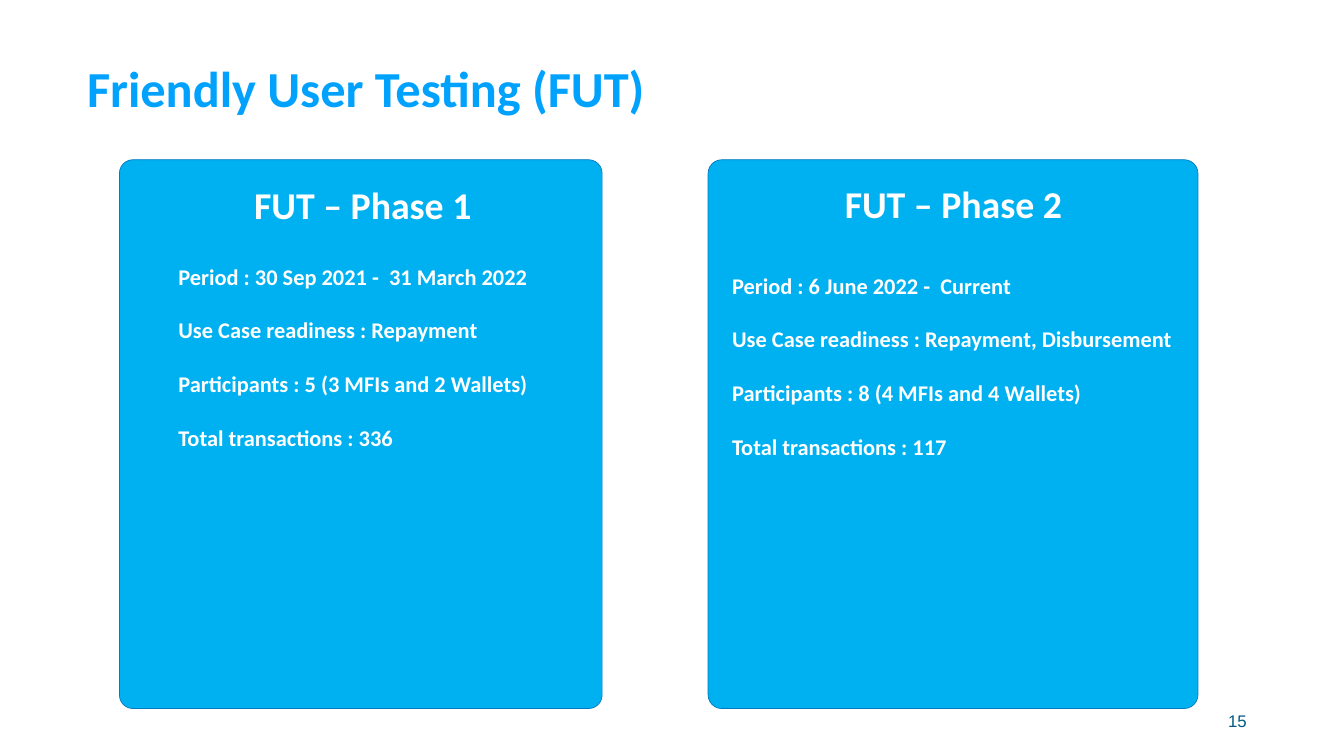
"""Build the Friendly User Testing slide with one card per phase."""
from pptx import Presentation
from pptx.dml.color import RGBColor
from pptx.enum.shapes import MSO_SHAPE
from pptx.enum.text import MSO_ANCHOR, PP_ALIGN
from pptx.util import Cm, Pt

ROUNDED = MSO_SHAPE.ROUNDED_RECTANGLE
TOP, MIDDLE = MSO_ANCHOR.TOP, MSO_ANCHOR.MIDDLE
LEFT, CENTER, RIGHT, JUSTIFY = PP_ALIGN.LEFT, PP_ALIGN.CENTER, PP_ALIGN.RIGHT, PP_ALIGN.JUSTIFY

COLORS = {"title": "00A2FE", "card": "00B1F1", "border": "0079BD",
          "text": "FFFFFF", "number": "005A83"}

PHASES = [
    {"card": (6.02, 24.33),
     "heading": "FUT – Phase 1", "heading_box": (6.02, 9.04, 24.54, 2.57),
     "details_box": (8.74, 11.76, 21.21, 13.56),
     "details": ["Period : 30 Sep 2021 -  31 March 2022",
                 "Use Case readiness : Repayment",
                 "Participants : 5 (3 MFIs and 2 Wallets)",
                 "Total transactions : 336"]},
    {"card": (35.69, 24.69),
     "heading": "FUT – Phase 2", "heading_box": (40.87, 8.97, 14.38, 2.57),
     "details_box": (36.65, 12.22, 22.94, 13.56),
     "details": ["Period : 6 June 2022 -  Current",
                 "Use Case readiness : Repayment, Disbursement",
                 "Participants : 8 (4 MFIs and 4 Wallets)",
                 "Total transactions : 117"]},
]


def color(name):
    return RGBColor.from_string(COLORS[name])


def add_text(slide, box, lines, size, color_name, alignment, anchor=MIDDLE,
             font="Calibri", bold=True, spacing=1.0):
    frame = slide.shapes.add_textbox(*map(Cm, box)).text_frame
    frame.word_wrap = True
    frame.vertical_anchor = anchor
    frame.text = "\n".join(lines)
    for paragraph in frame.paragraphs:
        paragraph.alignment = alignment
        paragraph.line_spacing = spacing
        paragraph.font.name = font
        paragraph.font.size = Pt(size)
        paragraph.font.bold = bold
        paragraph.font.color.rgb = color(color_name)


presentation = Presentation()
presentation.slide_width = Cm(67.74)
presentation.slide_height = Cm(38.1)
slide = presentation.slides.add_slide(presentation.slide_layouts[6])

add_text(slide, (4.14, 1.32, 50.44, 6.2), ["Friendly User Testing (FUT)"], 72, "title", LEFT)

for phase in PHASES:
    left, width = phase["card"]
    card = slide.shapes.add_shape(ROUNDED, Cm(left), Cm(8.05), Cm(width), Cm(27.66))
    card.adjustments[0] = 0.028
    card.shadow.inherit = False
    card.fill.solid()
    card.fill.fore_color.rgb = color("card")
    card.line.color.rgb = color("border")
    card.line.width = Pt(1)
    add_text(slide, phase["heading_box"], [phase["heading"]], 54, "text", CENTER)
    add_text(slide, phase["details_box"], phase["details"], 32, "text", JUSTIFY,
             anchor=TOP, spacing=2.0)

add_text(slide, (47.85, 35.31, 15.24, 2.03), ["15"], 24, "number", RIGHT,
         font="Arial", bold=False)

presentation.save("out.pptx")
